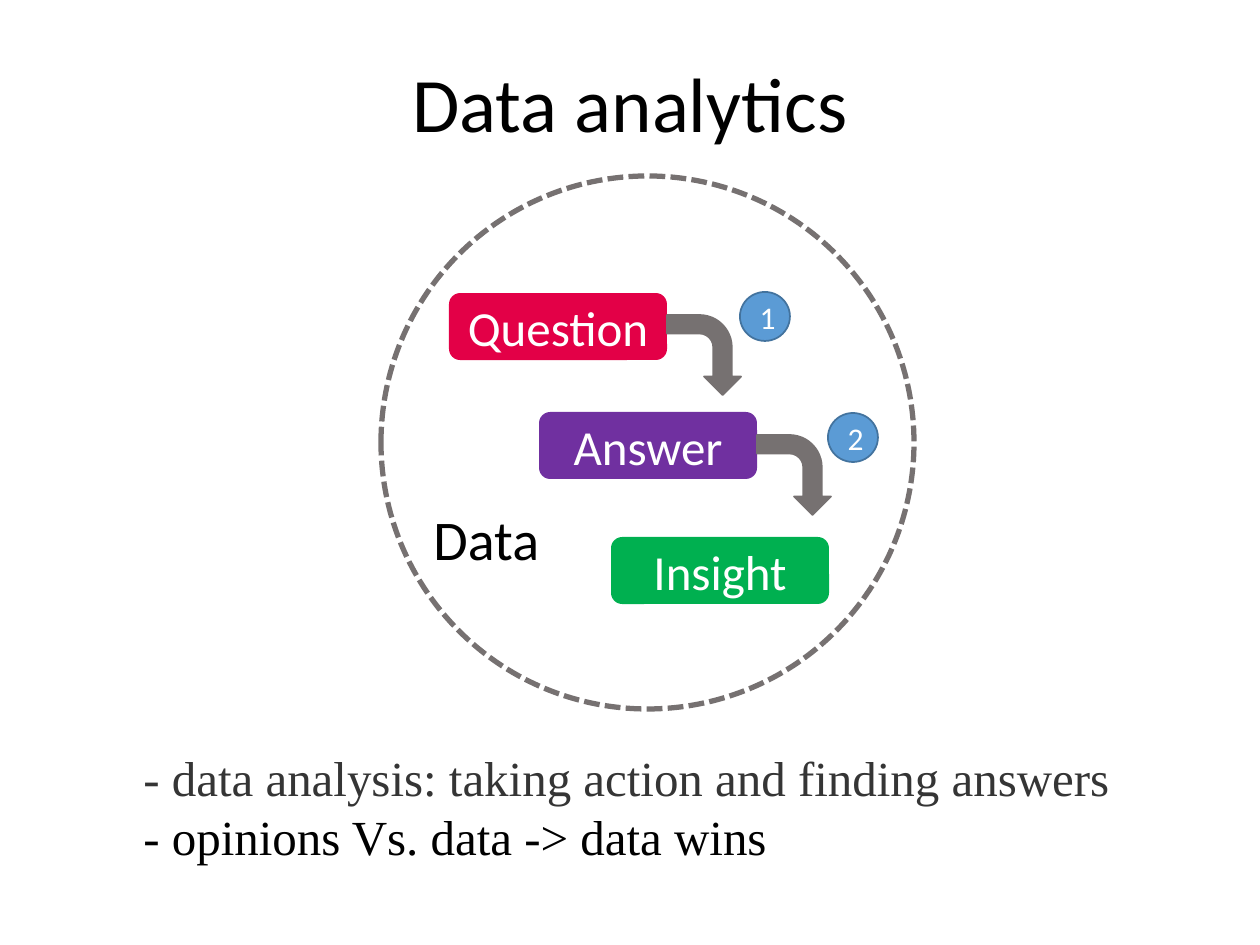
from pptx import Presentation
from pptx.dml.color import RGBColor
from pptx.enum.dml import MSO_LINE
from pptx.enum.shapes import MSO_SHAPE as Shape
from pptx.enum.text import MSO_ANCHOR as Anchor, MSO_AUTO_SIZE as AutoSize, PP_ALIGN as Align
from pptx.util import Pt

PX = 914400 / 126  # EMU per px

WHITE = RGBColor(0xFF, 0xFF, 0xFF)
BLACK = RGBColor(0x00, 0x00, 0x00)
CHARCOAL = RGBColor(0x35, 0x35, 0x35)
GRAY = RGBColor(0x76, 0x71, 0x71)
RED = RGBColor(0xE3, 0x00, 0x47)
PURPLE = RGBColor(0x70, 0x30, 0xA0)
GREEN = RGBColor(0x00, 0xB0, 0x50)
BLUE = RGBColor(0x5B, 0x9B, 0xD5)
DARK_BLUE = RGBColor(0x43, 0x73, 0x9E)


def px(*lengths):
    return [round(length * PX) for length in lengths]


def write(frame, *lines, size, colors, font="Calibri", align=Align.LEFT,
          anchor=Anchor.TOP, wrap=True, spacing=None):
    frame.word_wrap = wrap
    frame.auto_size = AutoSize.NONE if wrap else AutoSize.SHAPE_TO_FIT_TEXT
    frame.vertical_anchor = anchor
    for i, (line, color) in enumerate(zip(lines, colors)):
        paragraph = frame.add_paragraph() if i else frame.paragraphs[0]
        paragraph.alignment = align
        paragraph.line_spacing = spacing
        run = paragraph.add_run()
        run.text = line
        run.font.name = font
        run.font.size = Pt(size)
        run.font.color.rgb = color


prs = Presentation()
prs.slide_width, prs.slide_height = px(1260, 945)
slide = prs.slides.add_slide(prs.slide_layouts[6])
shapes = slide.shapes

# Title
title = shapes.add_textbox(*px(87, 16, 1086, 183))
write(title.text_frame, "Data analytics", size=44, colors=[BLACK],
      align=Align.CENTER, anchor=Anchor.MIDDLE, spacing=0.9)

# Dashed circle that holds the data
data_circle = shapes.add_shape(Shape.OVAL, *px(381, 176, 533, 533))
data_circle.shadow.inherit = False
data_circle.fill.solid()
data_circle.fill.fore_color.rgb = WHITE
data_circle.line.color.rgb = GRAY
data_circle.line.width = Pt(3)
data_circle.line.dash_style = MSO_LINE.SQUARE_DOT

# Steps from question to insight
for step, left, top, color in [("Question", 449, 293, RED),
                               ("Answer", 539, 412, PURPLE),
                               ("Insight", 611, 537, GREEN)]:
    box = shapes.add_shape(Shape.ROUNDED_RECTANGLE, *px(left, top, 218, 67))
    box.shadow.inherit = False
    box.fill.solid()
    box.fill.fore_color.rgb = color
    box.line.fill.background()
    write(box.text_frame, step, size=28, colors=[WHITE],
          align=Align.CENTER, anchor=Anchor.MIDDLE)

# Bent arrows between the steps
for left, top in [(664, 318), (754, 438)]:
    arrow = shapes.add_shape(Shape.BENT_ARROW, *px(left, top, 80, 74))
    arrow.rotation = 90
    arrow.shadow.inherit = False
    arrow.fill.solid()
    arrow.fill.fore_color.rgb = GRAY
    arrow.line.color.rgb = GRAY
    arrow.line.width = Pt(1)

# Label of the circle
data_label = shapes.add_textbox(*px(421, 498, 132, 81))
write(data_label.text_frame, "Data", size=32, colors=[BLACK], wrap=False)

# Remarks under the circle
remarks = shapes.add_textbox(*px(131, 741, 1033, 131))
write(remarks.text_frame,
      "- data analysis: taking action and finding answers",
      "- opinions Vs. data -> data wins",
      size=28, colors=[CHARCOAL, BLACK], font="Times New Roman", wrap=False)

# Numbers beside the arrows
for number, left, top in [("1", 740, 292), ("2", 828, 413)]:
    badge = shapes.add_shape(Shape.OVAL, *px(left, top, 50, 49))
    badge.shadow.inherit = False
    badge.fill.solid()
    badge.fill.fore_color.rgb = BLUE
    badge.line.color.rgb = DARK_BLUE
    badge.line.width = Pt(1)
    write(badge.text_frame, number, size=18, colors=[WHITE],
          align=Align.CENTER, anchor=Anchor.MIDDLE)

prs.save("out.pptx")
